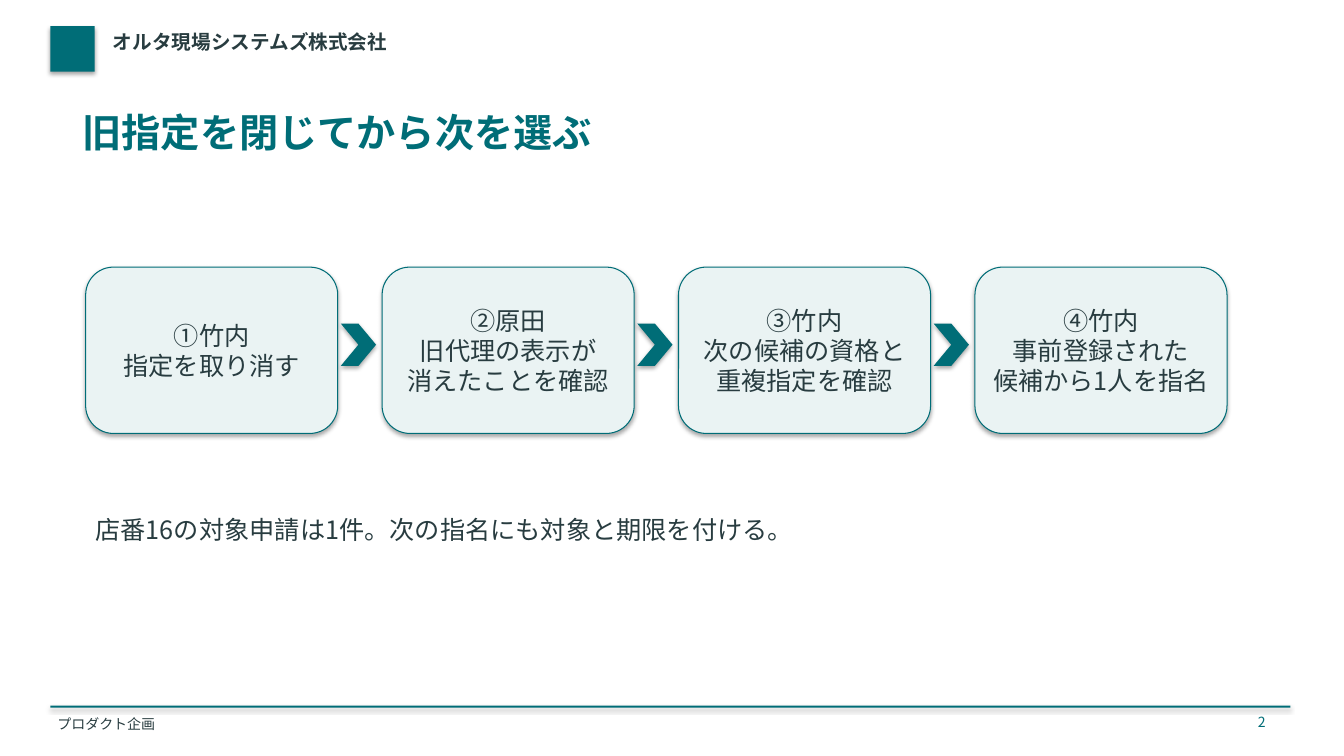
import pptx
import pptx.dml.color
import pptx.enum.shapes
import pptx.enum.text
import pptx.oxml.ns
import pptx.util
import lxml.etree

FONT = "Noto Sans CJK JP"
COLORS = {"teal": "006D77", "ink": "283C40", "card": "EAF3F3"}
CELL = pptx.util.Inches(0.05)
SHAPES = pptx.enum.shapes.MSO_SHAPE
ALIGN = pptx.enum.text.PP_ALIGN

presentation = pptx.Presentation()
presentation.slide_width = pptx.util.Inches(13.33)
presentation.slide_height = pptx.util.Inches(7.5)
slide = presentation.slides.add_slide(presentation.slide_layouts[6])


def add_block(kind, area, fill):
    """Add a borderless preset shape; area is column, row, columns, rows in grid cells."""
    shape = slide.shapes.add_shape(kind, *[round(cells * CELL) for cells in area])
    shape.fill.solid()
    shape.fill.fore_color.rgb = pptx.dml.color.RGBColor.from_string(COLORS[fill])
    shape.line.fill.background()
    return shape


def write_text(shape, text, size, color="ink", bold=False, align=ALIGN.LEFT):
    shape.text_frame.text = text
    shape.text_frame.word_wrap = True
    for paragraph in shape.text_frame.paragraphs:
        paragraph.alignment = align
        for run in paragraph.runs:
            run.font.size = pptx.util.Pt(size)
            run.font.bold = bold
            run.font.color.rgb = pptx.dml.color.RGBColor.from_string(COLORS[color])
            run.font.name = FONT
            east_asian = lxml.etree.SubElement(
                run.font._element, pptx.oxml.ns.qn("a:ea"))
            east_asian.set("typeface", FONT)


# Header mark and footer rule
add_block(SHAPES.RECTANGLE, (10, 5.2, 8.8, 9), "teal")
add_block(SHAPES.RECTANGLE, (10, 140, 246, 0.4), "teal")

# Text boxes: text, area, horizontal and vertical inset in inches, size, colour, bold, alignment
text_boxes = [
    ("オルタ現場システムズ株式会社", (22, 5.6, 200, 8), 0.02, 0.02, 14, "ink", True, ALIGN.LEFT),
    ("旧指定を閉じてから次を選ぶ", (16, 21, 234, 15), 0.02, 0.02, 28, "teal", True, ALIGN.LEFT),
    ("店番16の対象申請は1件。次の指名にも対象と期限を付ける。", (17, 101, 232, 16),
     0.1, 0.05, 18, "ink", False, ALIGN.LEFT),
    ("プロダクト企画", (11, 141.6, 180, 4.4), 0.02, 0.02, 10, "ink", False, ALIGN.LEFT),
    ("2", (243, 141.6, 10, 4.4), 0.1, 0, 10, "teal", False, ALIGN.RIGHT),
]
for text, area, inset_x, inset_y, size, color, bold, align in text_boxes:
    box = slide.shapes.add_textbox(*[round(cells * CELL) for cells in area])
    frame = box.text_frame
    frame.margin_left = frame.margin_right = pptx.util.Inches(inset_x)
    frame.margin_top = frame.margin_bottom = pptx.util.Inches(inset_y)
    write_text(box, text, size, color, bold, align)

# Process steps with a chevron between neighbours
steps = [
    "①竹内\n指定を取り消す",
    "②原田\n旧代理の表示が\n消えたことを確認",
    "③竹内\n次の候補の資格と\n重複指定を確認",
    "④竹内\n事前登録された\n候補から1人を指名",
]
step_pitch = 58.8
for index, step in enumerate(steps):
    column = 17 + index * step_pitch
    card = add_block(SHAPES.ROUNDED_RECTANGLE, (column, 53, 50, 33), "card")
    card.line.color.rgb = pptx.dml.color.RGBColor.from_string(COLORS["teal"])
    card.line.width = pptx.util.Pt(0.75)
    card.text_frame.vertical_anchor = pptx.enum.text.MSO_ANCHOR.MIDDLE
    write_text(card, step, 18, align=ALIGN.CENTER)
    if index < len(steps) - 1:
        add_block(SHAPES.CHEVRON, (column + 50.6, 64.2, 7, 8.4), "teal")

presentation.save("out.pptx")
